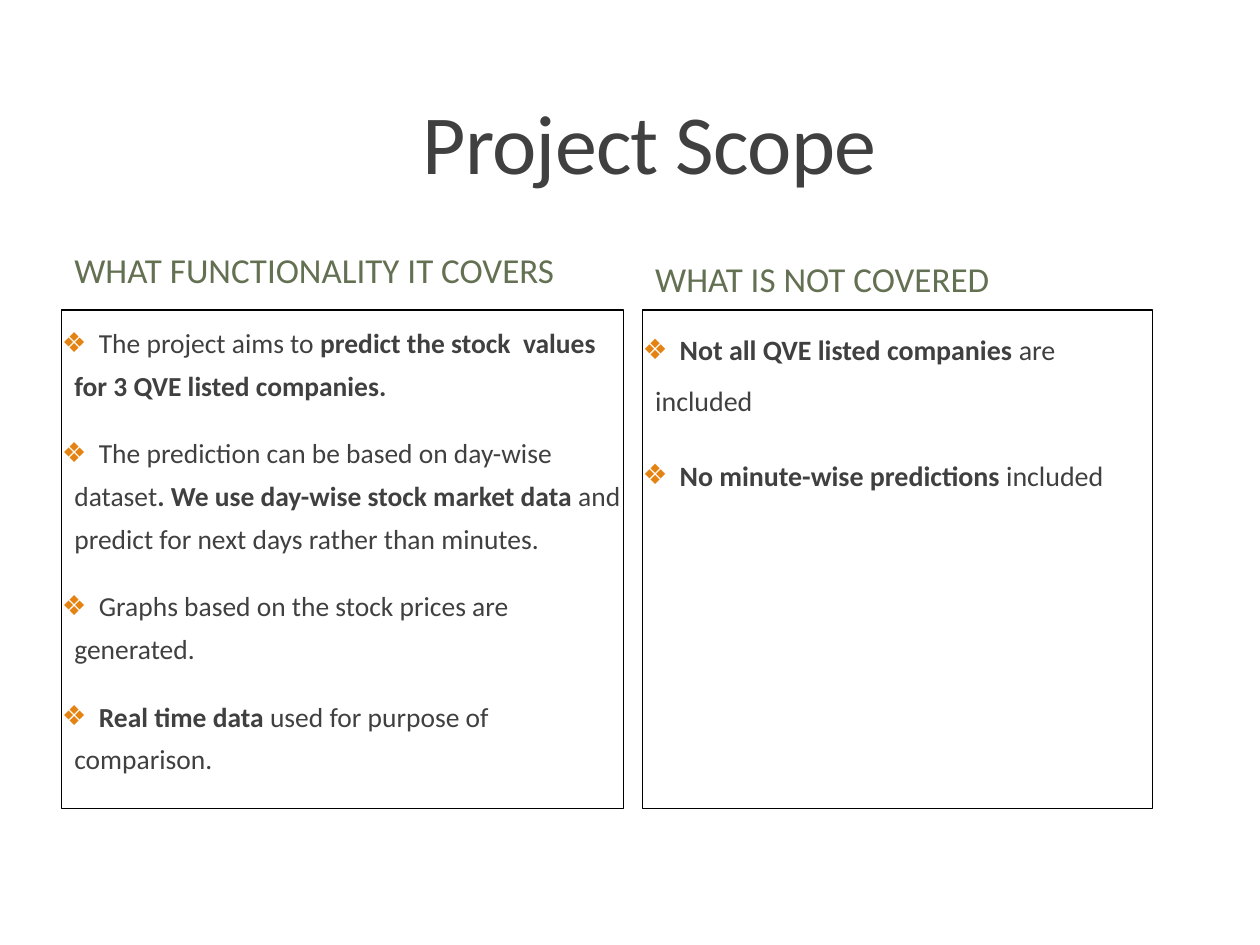
import pptx
import pptx.util
import pptx.dml.color
import pptx.enum.text
import pptx.oxml
import pptx.oxml.ns

Pt = pptx.util.Pt
ANCHOR = pptx.enum.text.MSO_ANCHOR
LEFT = pptx.enum.text.PP_ALIGN.LEFT

COLORS = {"text": "404040", "heading": "637052", "bullet": "E48312", "border": "000000"}
TITLE = "Project Scope"
COLUMNS = [
    {
        "heading": "WHAT FUNCTIONALITY IT COVERS",
        "heading_box": (35.3, 142.6, 291.6, 27.4), "heading_spacing": 0.8,
        "list_box": (35.3, 177.1, 321.1, 285.1), "size": 15.7, "spacing": 1.3,
        "items": [
            [("The project aims to ", False),
             ("predict the stock  values for 3 QVE listed companies.", True)],
            [("The prediction can be based on day-wise dataset", False),
             (". We use day-wise stock market data", True),
             (" and predict for next days rather than minutes.", False)],
            [("Graphs based on the stock prices are generated.", False)],
            [("Real time data ", True), ("used for purpose of comparison.", False)],
        ],
    },
    {
        "heading": "WHAT IS NOT COVERED",
        "heading_box": (367.2, 144, 291.6, 33.1), "heading_spacing": 0.9,
        "list_box": (367.2, 177.1, 291.6, 285.1), "size": 16, "spacing": 1.5,
        "items": [
            [("Not all QVE listed companies ", True), ("are included", False)],
            [("No minute-wise predictions ", True), ("included", False)],
        ],
    },
]
TITLE_INDENT = 103.5
BULLET_INDENT = 7.2
TEXT_START = 21.2


def rgb(name):
    return pptx.dml.color.RGBColor.from_string(COLORS[name])


def assign(target, values):
    for key, value in values.items():
        setattr(target, key, value)


def place(holder, box, anchor, **margins):
    assign(holder, dict(zip(("left", "top", "width", "height"), map(Pt, box))))
    assign(holder.text_frame, {"word_wrap": True, "vertical_anchor": anchor,
                               "auto_size": pptx.enum.text.MSO_AUTO_SIZE.NONE, **margins})


def add_text(paragraph, text, size, color, bold=False):
    run = paragraph.add_run()
    run.text = text
    assign(run.font, {"name": "Calibri", "size": Pt(size), "bold": bold})
    run.font.color.rgb = rgb(color)
    return run


def space(paragraph, line, before=12, after=2):
    assign(paragraph, {"alignment": LEFT, "line_spacing": line,
                       "space_before": Pt(before), "space_after": Pt(after)})


def indent(paragraph, left, first=0):
    properties = paragraph._p.get_or_add_pPr()
    properties.set("marL", str(Pt(left)))
    properties.set("indent", str(Pt(first)))
    return properties


def add_bullet(paragraph):
    properties = indent(paragraph, BULLET_INDENT, -BULLET_INDENT)
    namespace = pptx.oxml.ns.nsdecls("a")
    for xml in (
        f'<a:buClr {namespace}><a:srgbClr val="{COLORS["bullet"]}"/></a:buClr>',
        f'<a:buChar {namespace} char="❖"/>',
        f'<a:tabLst {namespace}><a:tab pos="{Pt(TEXT_START)}" algn="l"/></a:tabLst>',
    ):
        properties.append(pptx.oxml.parse_xml(xml))


def fill_heading(holder, column):
    place(holder, column["heading_box"], ANCHOR.MIDDLE)
    paragraph = holder.text_frame.paragraphs[0]
    space(paragraph, column["heading_spacing"])
    add_text(paragraph, column["heading"], 20, "heading")


def fill_list(holder, column):
    place(holder, column["list_box"], ANCHOR.TOP, margin_left=0, margin_right=0)
    holder.line.color.rgb = rgb("border")
    holder.line.width = Pt(0.75)
    frame = holder.text_frame
    for number, item in enumerate(column["items"]):
        paragraph = frame.add_paragraph() if number else frame.paragraphs[0]
        space(paragraph, column["spacing"])
        add_bullet(paragraph)
        for part, (text, bold) in enumerate(item):
            lead = "" if part else "\t"
            add_text(paragraph, lead + text, column["size"], "text", bold)


def main():
    deck = pptx.Presentation()
    assign(deck, {"slide_width": Pt(720), "slide_height": Pt(540)})
    slide = deck.slides.add_slide(deck.slide_layouts.get_by_name("Comparison"))
    holders = {holder.placeholder_format.idx: holder for holder in slide.placeholders}

    title = holders[0]
    place(title, (131, 37.4, 424.8, 75.6), ANCHOR.BOTTOM)
    paragraph = title.text_frame.paragraphs[0]
    space(paragraph, 0.85, 0, 0)
    indent(paragraph, TITLE_INDENT)
    run = add_text(paragraph, TITLE, 48, "text")
    run.font._element.set("spc", "-50")

    for number, column in enumerate(COLUMNS):
        fill_heading(holders[2 * number + 1], column)
        fill_list(holders[2 * number + 2], column)

    deck.save("out.pptx")


if __name__ == "__main__":
    main()
